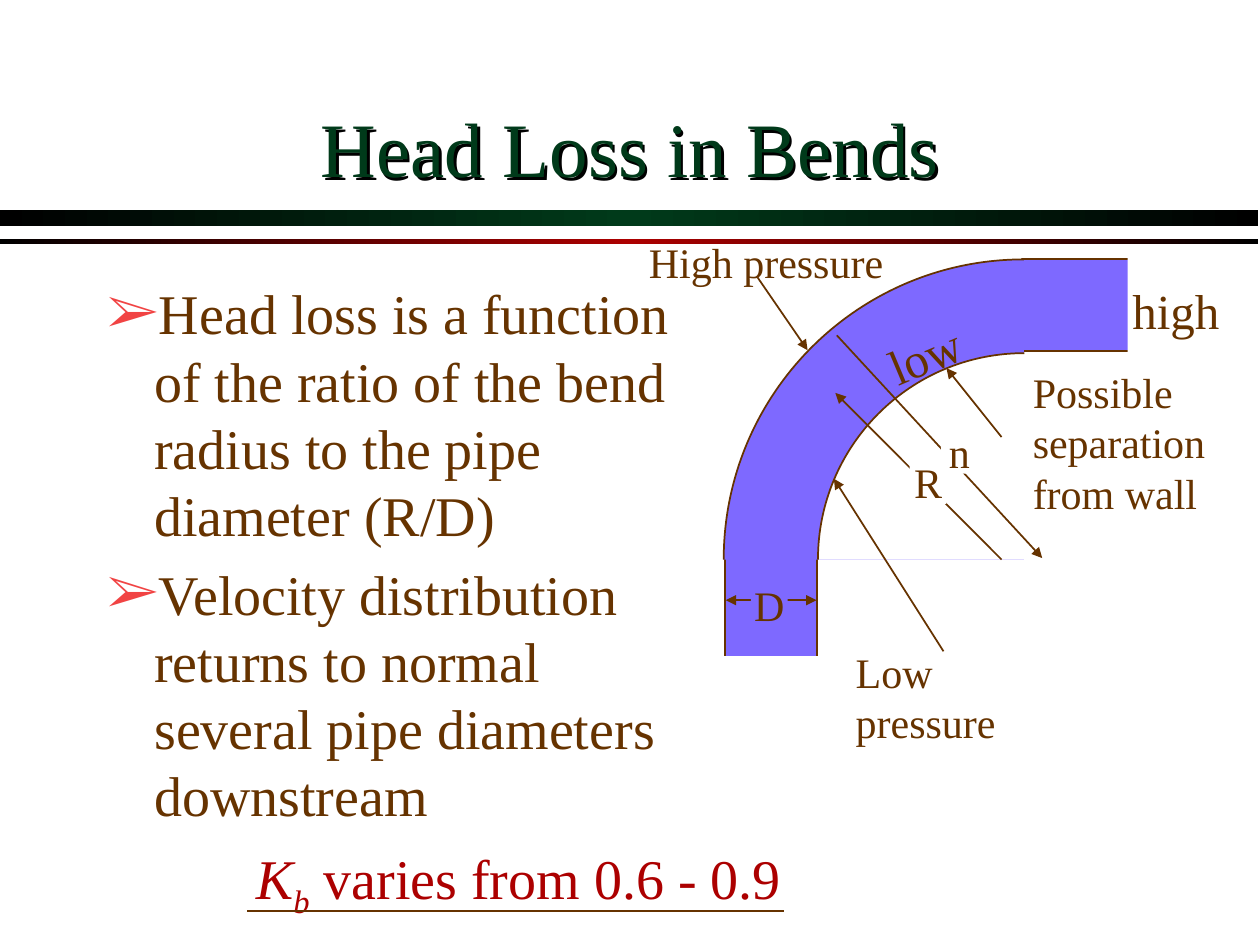
from typing import NamedTuple

from lxml import etree
from pptx import Presentation
from pptx import util as u
from pptx.dml.color import RGBColor
from pptx.enum import shapes as sh, text as tx
from pptx.oxml.ns import qn

HUES = {"ink": "663300", "pipe": "7E69FF", "paper": "FFFFFF", "green": "003A1A",
        "red": "AC0000", "mark": "F14343", "black": "000000"}
FONT = "Times New Roman"


class Box(NamedTuple):
    x: float
    y: float
    w: float
    h: float


class Line(NamedTuple):
    x1: float
    y1: float
    x2: float
    y2: float
    head: bool = False
    tail: bool = False


class Label(NamedTuple):
    words: str
    box: Box
    size: int = 24
    turn: float = 0
    wrap: bool = False


class Run(NamedTuple):
    words: str
    slant: bool = False
    sub: bool = False


def rgb(name: str) -> RGBColor:
    return RGBColor.from_string(HUES[name])


def cms(*vals: float) -> list:
    return [u.Cm(v) for v in vals]


prs = Presentation()
prs.slide_width, prs.slide_height = u.Cm(25.4), u.Cm(19.05)
slide = prs.slides.add_slide(prs.slide_layouts[6])
parts = slide.shapes


def paint(shape, fill=None, line=None):
    """Set a flat fill and outline, or none, and drop the shadow."""
    shape.shadow.inherit = False
    if fill:
        shape.fill.solid()
        shape.fill.fore_color.rgb = rgb(fill)
    else:
        shape.fill.background()
    if line:
        shape.line.color.rgb = rgb(line)
        shape.line.width = u.Pt(1)
    else:
        shape.line.fill.background()
    return shape


def rect(box: Box, fill=None, line=None):
    return paint(parts.add_shape(sh.MSO_SHAPE.RECTANGLE, *cms(*box)), fill, line)


def band(box: Box, hue: str) -> None:
    """Draw a rule that fades to black at both ends."""
    bar = rect(box)
    bar.fill.gradient()
    bar.fill.gradient_angle = 0
    stops = bar.fill._fill._gradFill.find(qn("a:gsLst"))
    for old in list(stops):
        stops.remove(old)
    for pos, name in ((0, "black"), (50, hue), (100, "black")):
        stop = etree.SubElement(stops, qn("a:gs"), pos=str(pos * 1000))
        etree.SubElement(stop, qn("a:srgbClr"), val=HUES[name])


def bullet(para) -> None:
    props = para._p.get_or_add_pPr()
    props.set("marL", str(u.Cm(0.95)))
    props.set("indent", str(-u.Cm(0.95)))
    tint = etree.SubElement(props, qn("a:buClr"))
    etree.SubElement(tint, qn("a:srgbClr"), val=HUES["mark"])
    etree.SubElement(props, qn("a:buFont"), typeface=FONT)
    etree.SubElement(props, qn("a:buChar"), char="➢")


def shade(shape) -> None:
    """Give the text of an unfilled box a small shadow."""
    shape.shadow.inherit = False
    drop = etree.SubElement(shape._element.spPr.find(qn("a:effectLst")),
                            qn("a:outerShdw"), dist="25400", dir="2700000")
    etree.SubElement(drop, qn("a:srgbClr"), val=HUES["black"])


def write(paras: list, box: Box = None, shape=None, size=24, hue="ink", wrap=False,
          align=tx.PP_ALIGN.LEFT, anchor=tx.MSO_ANCHOR.TOP, turn=0.0,
          marks=False, grow=False):
    """Put paragraphs, each a string or a list of runs, in a shape or new box."""
    shape = shape or parts.add_textbox(*cms(*box))
    shape.rotation = turn
    frame = shape.text_frame
    frame.word_wrap = wrap
    frame.vertical_anchor = anchor
    if grow:
        frame.auto_size = tx.MSO_AUTO_SIZE.SHAPE_TO_FIT_TEXT
    for i, item in enumerate(paras):
        para = frame.add_paragraph() if i else frame.paragraphs[0]
        para.alignment = align
        if i:
            para.space_before = u.Pt(size * 0.2)
        if marks:
            bullet(para)
        for bit in [Run(item)] if isinstance(item, str) else item:
            run = para.add_run()
            run.text = bit.words
            font = run.font
            font.size, font.name = u.Pt(size), FONT
            font.color.rgb = rgb(hue)
            if bit.slant:
                font.italic = True
            if bit.sub:
                run._r.rPr.set("baseline", "-25000")
    return shape


def rule(line: Line) -> None:
    link = parts.add_connector(sh.MSO_CONNECTOR.STRAIGHT, *cms(*line[:4]))
    link.line.color.rgb = rgb("ink")
    link.line.width = u.Pt(1)
    stroke = link.line._get_or_add_ln()
    for flag, end in ((line.head, "a:headEnd"), (line.tail, "a:tailEnd")):
        if flag:
            etree.SubElement(stroke, qn(end), type="triangle")
    etree.SubElement(link._element.spPr, qn("a:effectLst"))


def bend(cx: float, cy: float, rad: float, fill: str) -> None:
    """Fill the upper left quarter of a disc and outline its arc only."""
    left, top, right, base = cms(cx - rad, cy - rad, cx, cy)
    form = parts.build_freeform(left, base)
    form.add_line_segments([(right, top), (right, base)])
    shape = paint(form.convert_to_shape(), fill, "ink")
    paths = shape._element.spPr.find(qn("a:custGeom")).find(qn("a:pathLst"))
    for old in list(paths):
        paths.remove(old)
    side = 1000
    pull = round(side * 0.4477)  # circle as one cubic curve
    steps = [("moveTo", [(0, side)]), ("cubicBezTo", [(0, pull), (pull, 0), (side, 0)])]
    close = [("lnTo", [(side, side)]), ("close", [])]
    for moves, off in ((steps + close, {"stroke": "0"}), (steps, {"fill": "none"})):
        route = etree.SubElement(paths, qn("a:path"), w=str(side), h=str(side), **off)
        for name, pts in moves:
            move = etree.SubElement(route, qn("a:" + name))
            for x, y in pts:
                etree.SubElement(move, qn("a:pt"), x=str(x), y=str(y))


def tag(words: str, x: float, y: float, fill: str) -> None:
    write([words], shape=rect(Box(x, y, 0.74, 0.89), fill),
          align=tx.PP_ALIGN.CENTER, anchor=tx.MSO_ANCHOR.MIDDLE)


# Rules, title and body
band(Box(0, 4.24, 25.37, 0.31), "green")
band(Box(0, 4.82, 25.37, 0.11), "red")
shade(write(["Head Loss in Bends"], Box(1.91, 0.84, 21.59, 3.18), size=44, hue="green",
            wrap=True, align=tx.PP_ALIGN.CENTER, anchor=tx.MSO_ANCHOR.BOTTOM))
write(["Head loss is a function of the ratio of the bend radius to the pipe diameter (R/D)",
       "Velocity distribution returns to normal several pipe diameters downstream"],
      Box(1.91, 5.5, 12.32, 11.43), size=32, wrap=True, marks=True)

# Pipe: straight ends, bend, and masks that open the ends
rect(Box(20.6, 5.22, 2.18, 1.86), "pipe", "ink")
rect(Box(14.61, 11.23, 1.86, 2.06), "pipe", "ink")
bend(20.64, 11.28, 6.05, "pipe")
bend(20.65, 11.28, 4.16, "paper")
rect(Box(14.45, 13.24, 2.21, 0.3), "paper", "paper")
rect(Box(22.73, 5.08, 0.3, 2.21), "paper")

# Labels
for note in (Label("High pressure", Box(12.83, 4.65, 5.23, 1.27)),
             Label("Low pressure", Box(17, 12.9, 5.08, 1.27)),
             Label("Possible separation from wall", Box(20.57, 7.26, 4.67, 3.3), wrap=True),
             Label("low", Box(17.65, 6.43, 1.98, 1.45), 28, 337.2),
             Label("high", Box(22.58, 5.54, 2.26, 1.45), 28)):
    write([note.words], note.box, size=note.size, turn=note.turn, wrap=note.wrap, grow=True)

# Pointers
for line in (Line(15.27, 5.59, 16.28, 7.06, tail=True),
             Line(19.02, 13.13, 16.81, 9.65, tail=True),
             Line(20.19, 8.81, 19.08, 7.42, tail=True)):
    rule(line)

# Dimensions, each with a tag over its line
for line, words, x, y, fill in (
        (Line(14.63, 12.1, 16.46, 12.1, True, True), "D", 15.14, 11.74, "pipe"),
        (Line(16.84, 7.92, 20.19, 11.28, head=True), "R", 18.34, 9.27, "paper"),
        (Line(21.01, 11.25, 16.87, 6.76, head=True), "n", 18.97, 8.66, "paper")):
    rule(line)
    tag(words, x, y, fill)

# Underlined result
write([[Run("K", True), Run("b", True, True), Run(" varies from 0.6 - 0.9")]],
      Box(4.91, 16.88, 11.13, 1.6), size=32, hue="red", grow=True)
rule(Line(4.98, 18.36, 15.8, 18.36))

prs.save("out.pptx")
